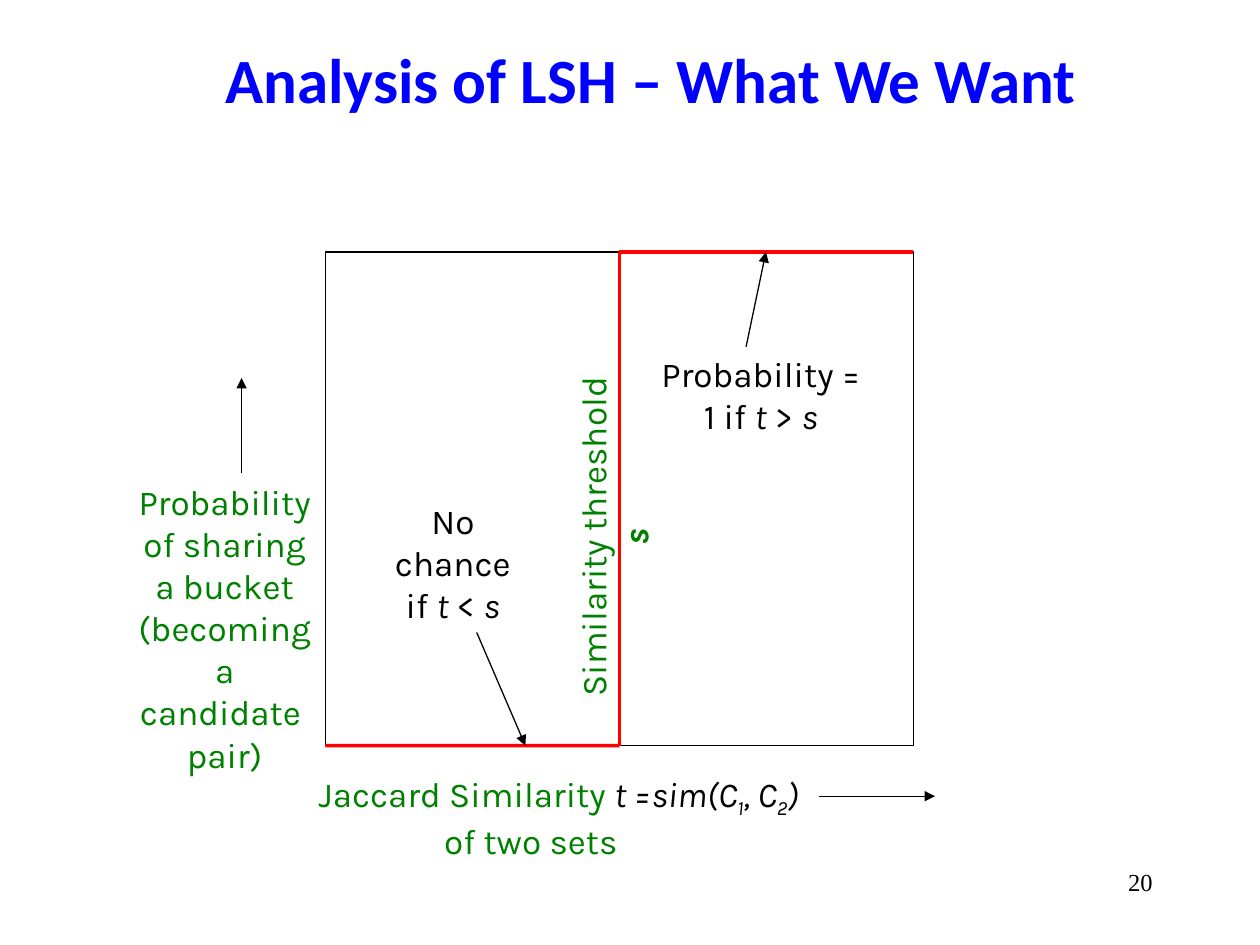
from pptx import Presentation
from pptx.dml.color import RGBColor
from pptx.enum.shapes import MSO_CONNECTOR, MSO_SHAPE
from pptx.enum.text import MSO_ANCHOR, MSO_AUTO_SIZE, PP_ALIGN
from pptx.oxml.ns import qn
from pptx.util import Cm, Pt
from lxml import etree

STRAIGHT = MSO_CONNECTOR.STRAIGHT
RECTANGLE = MSO_SHAPE.RECTANGLE
MIDDLE = MSO_ANCHOR.MIDDLE
GROW = MSO_AUTO_SIZE.SHAPE_TO_FIT_TEXT
NO_FIT = MSO_AUTO_SIZE.NONE
CENTER, RIGHT = PP_ALIGN.CENTER, PP_ALIGN.RIGHT
TOP_SIDE, BOTTOM_SIDE = 0, 2
COLORS = {"title": "0000FF", "axis": "008000", "step": "FF0000", "ink": "000000"}


class SlideBuilder:
    """Draws styled elements, measured in centimetres, on the current slide."""

    def __init__(self, slide):
        self.slide = slide
        self.shapes = slide.shapes

    def color(self, name):
        return RGBColor.from_string(COLORS[name])

    def style(self, font, name, size, color):
        font.name, font.size = name, Pt(size)
        font.color.rgb = self.color(color)

    def title(self, text, left, top, width, height):
        title = self.shapes.title
        title.left, title.top, title.width, title.height = map(Cm, (left, top, width, height))
        frame = title.text_frame
        frame.text = text
        frame.vertical_anchor = MIDDLE
        frame.auto_size = NO_FIT
        paragraph = frame.paragraphs[0]
        paragraph.alignment = CENTER
        self.style(paragraph.font, "Calibri", 36, "title")
        paragraph.font.bold = True

    def frame(self, left, top, width, height):
        shape = self.shapes.add_shape(RECTANGLE, *map(Cm, (left, top, width, height)))
        shape.shadow.inherit = False
        shape.fill.background()
        shape.line.color.rgb = self.color("ink")
        shape.line.width = Pt(0.75)
        return shape

    def text(self, paragraphs, left, top, width, height, color="ink", parent=None,
             font="Karla", size=20, alignment=CENTER, auto_size=GROW, rotation=0):
        """Adds text whose paragraphs are lists of (text, marks): i italic, b bold, _ subscript, a axis colour."""
        shapes = parent.shapes if parent else self.shapes
        box = shapes.add_textbox(*map(Cm, (left, top, width, height)))
        box.rotation = rotation
        frame = box.text_frame
        frame.word_wrap = True
        frame.auto_size = auto_size
        for index, pieces in enumerate(paragraphs):
            paragraph = frame.add_paragraph() if index else frame.paragraphs[0]
            paragraph.alignment = alignment
            self.style(paragraph.font, font, size, color)
            for text, marks in pieces:
                if text == "\n":
                    paragraph.add_line_break()
                    continue
                run = paragraph.add_run()
                run.text = text
                if "i" in marks:
                    run.font.italic = True
                if "b" in marks:
                    run.font.bold = True
                if "a" in marks:
                    run.font.color.rgb = self.color("axis")
                if "_" in marks:
                    run.font._element.set("baseline", "-25000")
        return box

    def indent_first_line(self, box, indent):
        properties = box.text_frame.paragraphs[0]._p.get_or_add_pPr()
        properties.set("marL", "0")
        properties.set("indent", str(Cm(indent)))

    def line(self, start, end, color="ink", width=0.75, parent=None):
        shapes = parent.shapes if parent else self.shapes
        connector = shapes.add_connector(STRAIGHT, *map(Cm, (*start, *end)))
        connector.line.color.rgb = self.color(color)
        connector.line.width = Pt(width)
        etree.SubElement(connector._element.spPr, qn("a:effectLst"))
        return connector

    def arrow(self, start, end, parent=None):
        connector = self.line(start, end, parent=parent)
        etree.SubElement(connector.line._get_or_add_ln(), qn("a:tailEnd"), type="triangle")

    def callout(self, paragraphs, box, start, end):
        group = self.shapes.add_group_shape()
        self.text(paragraphs, *box, parent=group)
        self.arrow(start, end, parent=group)


def main():
    presentation = Presentation()
    presentation.slide_width, presentation.slide_height = Cm(25.4), Cm(19.05)
    builder = SlideBuilder(presentation.slides.add_slide(presentation.slide_layouts[5]))
    builder.title("Analysis of LSH – What We Want", 1.27, 0.2, 23.7, 2.74)

    left, top, width, height = 6.56, 5.08, 11.85, 9.95
    right, bottom, threshold = left + width, top + height, left + width / 2
    plot = builder.frame(left, top, width, height)

    similarity = builder.text(
        [[("Jaccard Similarity ", "a"), ("t =sim(C", "i"), ("1", "i_"), (", C", "i"),
          ("2", "i_"), (")", "i"), ("\n", ""), ("of two sets", "a")]],
        4.67, 15.44, 12.07, 1.96)
    builder.indent_first_line(similarity, 1.12)
    probability = ["Probability", "of sharing", "a bucket", "(becoming ", "a candidate ", "pair)"]
    builder.text([[(line, "")] for line in probability], 2.46, 9.57, 4.14, 5.38, "axis")
    builder.arrow((16.51, 16.05), (18.85, 16.05))
    builder.arrow((4.87, 9.53), (4.87, 7.62))

    builder.text([[("Similarity threshold ", ""), ("s", "bi")]],
                 8.31, 10.26, 7.29, 1.12, "axis", rotation=270)
    low = builder.line((left, bottom), (threshold, bottom), "step", 2)
    low.end_connect(plot, BOTTOM_SIDE)
    jump = builder.line((threshold, bottom), (threshold, top), "step", 2)
    jump.begin_connect(plot, BOTTOM_SIDE)
    jump.end_connect(plot, TOP_SIDE)
    high = builder.line((threshold, top), (right, top), "step", 2)
    high.begin_connect(plot, TOP_SIDE)

    builder.callout([[("No chance", "")], [("if ", ""), ("t", "i"), (" < ", ""), ("s", "i")]],
                    (7.24, 9.95, 3.78, 1.96), (9.61, 12.75), (10.59, bottom))
    builder.callout([[("Probability = 1 if ", ""), ("t", "i"), (" > ", ""), ("s", "i")]],
                    (12.9, 6.99, 4.88, 1.96), (15.04, 6.99), (15.44, top))
    builder.text([[("20", "")]], 18.21, 17.35, 5.28, 1.27, font="Times New Roman",
                 size=14, alignment=RIGHT, auto_size=NO_FIT)
    presentation.save("out.pptx")


if __name__ == "__main__":
    main()
